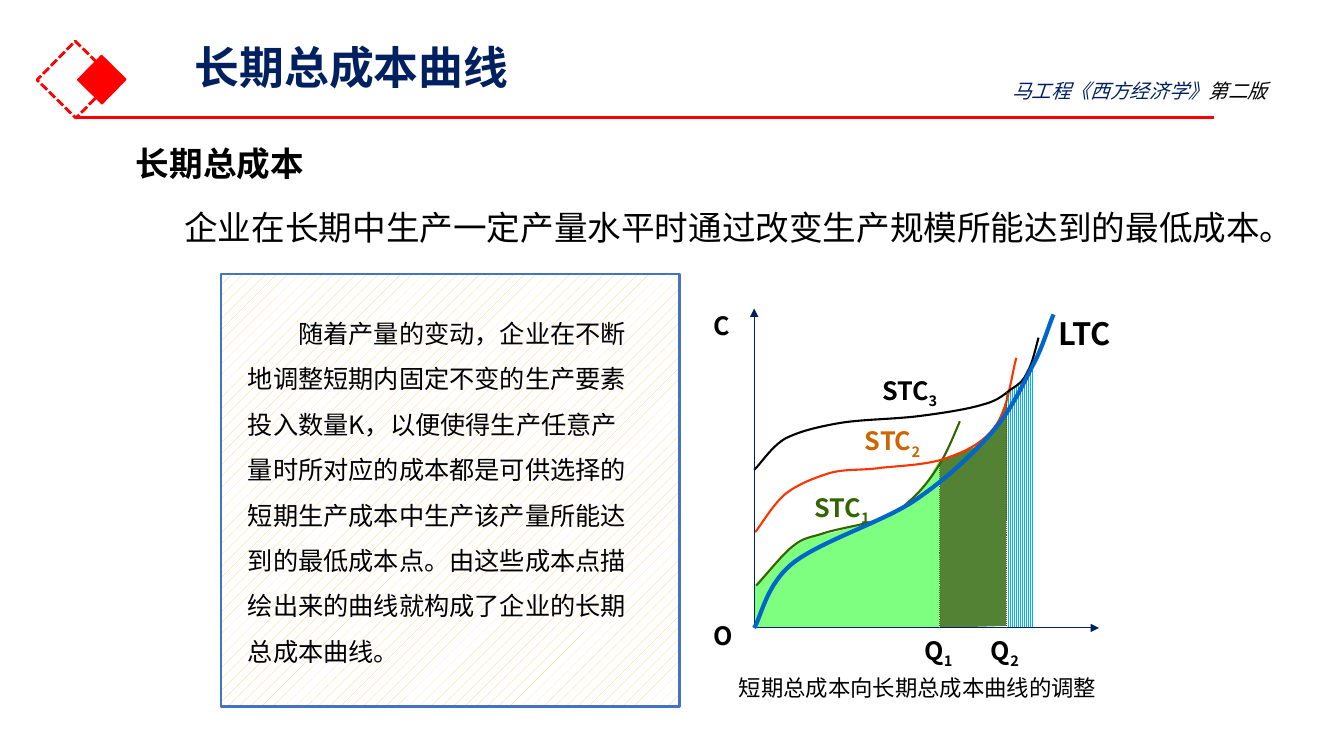
from lxml.etree import SubElement
from pptx import Presentation
from pptx.dml.color import RGBColor as RGB
from pptx.enum.dml import MSO_LINE as DASH, MSO_PATTERN as PAT
from pptx.enum.shapes import MSO_CONNECTOR as CONN, MSO_SHAPE as SHAPE
from pptx.enum.text import MSO_ANCHOR as ANCHOR, MSO_AUTO_SIZE as AUTO, PP_ALIGN as ALIGN
from pptx.oxml.ns import qn
from pptx.util import Pt

PX = 9144  # 100 px to the inch
FONT = "Noto Sans CJK SC"
BLACK = RGB(0, 0, 0)
WHITE = RGB(255, 255, 255)
NAVY = RGB(0x00, 0x20, 0x60)
RED = RGB(0xFF, 0, 0)
FRAME = RGB(0x44, 0x72, 0xC4)
SAND = RGB(0xFF, 0xCC, 0x66)
SKY = RGB(0x00, 0xB0, 0xF0)
OLIVE = RGB(0x54, 0x82, 0x35)
LIME = RGB(0x7F, 0xFF, 0x7F)
GREEN = RGB(0x33, 0x66, 0x00)
ORANGE = RGB(0xFF, 0x33, 0x00)
BROWN = RGB(0xCC, 0x66, 0x00)
BLUE = RGB(0x00, 0x66, 0xCC)

LEFT, BASE = 748, 623  # origin of the axes
Q1, Q2 = 932, 998

BODY = ("随着产量的变动，企业在不断地调整短期内固定不变的生产要素投入数量K，"
        "以便使得生产任意产量时所对应的成本都是可供选择的短期生产成本中生产该产量"
        "所能达到的最低成本点。由这些成本点描绘出来的曲线就构成了企业的长期总成本曲线。")

AREAS = [
    (SKY, PAT.NARROW_VERTICAL,
     [(1000, BASE), (1026, BASE), (1026, 360), (1010, 381), (Q2, 390)]),
    (OLIVE, PAT.DARK_VERTICAL,
     [(Q1, 456), (Q1, BASE), (998, 621), (999, 428), (999, 396), (986, 426),
      (966, 444)]),
    (LIME, PAT.DARK_VERTICAL,
     [(LEFT, 581), (LEFT, BASE), (Q1, BASE), (Q1, 456), (918, 480), (904, 496),
      (885, 511), (858, 519), (828, 528), (803, 533), (784, 544), (765, 563)]),
]

# Each curve: colour, width, start point, then two handles and an end per piece
STC = [
    (GREEN, 1.5,
     [(750, 581), (756, 575), (775, 551), (785, 543), (796, 534), (800, 534),
      (814, 530), (828, 525), (855, 521), (870, 516), (885, 511), (891, 508),
      (901, 498), (912, 489), (923, 475), (931, 462), (940, 448), (948, 427),
      (952, 418)]),
    (ORANGE, 1.5,
     [(749, 528), (754, 522), (767, 500), (779, 490), (792, 480), (808, 474),
      (824, 469), (840, 465), (855, 467), (875, 464), (895, 462), (924, 461),
      (943, 453), (962, 446), (978, 437), (989, 420), (1000, 404), (1004, 368),
      (1008, 355)]),
    (BLACK, 1.5,
     [(748, 466), (754, 461), (765, 443), (779, 435), (793, 428), (809, 424),
      (831, 420), (853, 416), (885, 416), (910, 413), (934, 410), (960, 406),
      (976, 401), (991, 397), (996, 391), (1003, 386), (1011, 381), (1015, 378),
      (1019, 369), (1024, 361), (1028, 342), (1030, 335)]),
]
LTC = (BLUE, 3,
       [(LEFT, BASE), (755, 612), (760, 580), (786, 559), (812, 538), (872, 519),
        (905, 498), (938, 476), (963, 452), (983, 430), (1002, 408), (1013, 385),
        (1023, 365), (1034, 346), (1040, 323), (1045, 312)])

LABELS = [
    (698, 306, "C", "", BLACK), (698, 614, "O", "", BLACK),
    (907, 631, "Q", "1", BLACK), (973, 631, "Q", "2", BLACK),
    (865, 373, "STC", "3", BLACK), (848, 423, "STC", "2", BROWN),
    (798, 489, "STC", "1", GREEN),
]


def emu(*lens):
    return [n * PX for n in lens]


def style(para, size, color, bold=False, italic=False):
    font = para.font
    font.name, font.size, font.bold, font.italic = FONT, Pt(size), bold, italic
    font.color.rgb = color
    SubElement(font._element, qn("a:ea"), typeface=FONT)


def text(slide, box, words, size, color=BLACK, bold=False, italic=False,
         wrap=True, grow=True):
    """Add a text box and return its paragraph."""
    frame = slide.shapes.add_textbox(*emu(*box)).text_frame
    frame.word_wrap = wrap
    if grow:
        frame.auto_size = AUTO.SHAPE_TO_FIT_TEXT
    else:
        frame.vertical_anchor = ANCHOR.MIDDLE
    para = frame.paragraphs[0]
    para.add_run().text = words
    style(para, size, color, bold, italic)
    return para


def label(slide, x, y, words, sub, color):
    """Add a curve or axis label, wide enough to stay on one line."""
    wide = max(50, 28 * len(words))
    para = text(slide, (x, y, wide, 33), words, 18, color, bold=True,
                wrap=False, grow=False)
    if sub:
        run = para.add_run()
        run.text = sub
        run._r.get_or_add_rPr().set("baseline", "-25000")


def line(slide, ends, color, width, dash=None, arrow=False):
    link = slide.shapes.add_connector(CONN.STRAIGHT, *emu(*ends))
    link.line.color.rgb = color
    link.line.width = Pt(width)
    if dash:
        link.line.dash_style = dash
    if arrow:
        SubElement(link.line._get_or_add_ln(), qn("a:tailEnd"), type="triangle")
    SubElement(link._element.spPr, qn("a:effectLst"))


def rect(slide, box, color, width, turn=0):
    shape = slide.shapes.add_shape(SHAPE.RECTANGLE, *emu(*box))
    shape.shadow.inherit = False
    shape.rotation = turn
    shape.line.color.rgb = color
    shape.line.width = Pt(width)
    shape.fill.background()
    return shape


def hatch(shape, pat, color):
    shape.fill.patterned()
    shape.fill.pattern = pat
    shape.fill.fore_color.rgb = color
    shape.fill.back_color.rgb = WHITE


def trace(slide, points, close):
    pen = slide.shapes.build_freeform(*points[0], scale=PX)
    pen.add_line_segments(points[1:], close=close)
    shape = pen.convert_to_shape()
    shape.shadow.inherit = False
    return shape


def area(slide, color, pat, points):
    shape = trace(slide, points, True)
    hatch(shape, pat, color)
    shape.line.fill.background()


def curve(slide, color, width, points):
    """Draw a chain of cubic pieces by merging segments in threes."""
    shape = trace(slide, points, False)
    shape.fill.background()
    shape.line.color.rgb = color
    shape.line.width = Pt(width)
    track = shape._element.xpath(".//a:path")[0]
    steps = track.findall(qn("a:lnTo"))
    for i in range(0, len(steps), 3):
        bend = SubElement(track, qn("a:cubicBezTo"))
        for step in steps[i:i + 3]:
            bend.append(step[0])
            track.remove(step)


def header(slide):
    title = slide.shapes.title
    title.left, title.top, title.width, title.height = emu(183, 40, 1150, 58)
    frame = title.text_frame
    frame.margin_top = frame.margin_bottom = 0
    frame.vertical_anchor = ANCHOR.MIDDLE
    frame.text = "长期总成本曲线"
    para = frame.paragraphs[0]
    para.alignment = ALIGN.LEFT
    para.line_spacing = 0.9
    style(para, 32, NAVY, bold=True)

    rect(slide, (48, 52, 54, 54), RED, 2, 314.5).line.dash_style = DASH.SQUARE_DOT
    gem = rect(slide, (84, 62, 34, 34), RED, 1, 314.5)
    gem.fill.solid()
    gem.fill.fore_color.rgb = RED
    line(slide, (75, 117, 1204, 117), RED, 2.25)
    book = text(slide, (994, 73, 324, 34), "马工程《西方经济学》", 14, NAVY, italic=True)
    run = book.add_run()
    run.text = "第二版"
    run.font.color.rgb = BLACK


def graph(slide):
    for item in AREAS:
        area(slide, *item)
    line(slide, (LEFT, BASE, 1090, BASE), NAVY, 0.75, arrow=True)
    for item in STC:
        curve(slide, *item)
    line(slide, (LEFT, BASE, LEFT, 306), NAVY, 0.75, arrow=True)
    for x, top in (Q1, 456), (Q2, 389):
        line(slide, (x, top, x, BASE), GREEN, 0.75, DASH.ROUND_DOT)
    for item in LABELS:
        label(slide, *item)
    curve(slide, *LTC)
    text(slide, (1040, 306, 75, 50), "LTC", 22, bold=True, wrap=False, grow=False)
    text(slide, (723, 664, 383, 37), "短期总成本向长期总成本曲线的调整", 16)


def main():
    deck = Presentation()
    deck.slide_width, deck.slide_height = emu(1333, 750)
    slide = deck.slides.add_slide(deck.slide_layouts[5])
    hatch(rect(slide, (219, 272, 455, 429), FRAME, 1.75), PAT.PERCENT_10, SAND)
    header(slide)
    text(slide, (125, 137, 188, 50), "长期总成本", 24, bold=True, wrap=False)
    text(slide, (173, 200, 1131, 50),
         "企业在长期中生产一定产量水平时通过改变生产规模所能达到的最低成本。", 24, wrap=False)
    graph(slide)
    para = text(slide, (236, 296, 403, 368), BODY, 18)
    para.line_spacing = 1.5
    para._p.get_or_add_pPr().set("indent", str(50 * PX))
    deck.save("out.pptx")


if __name__ == "__main__":
    main()
